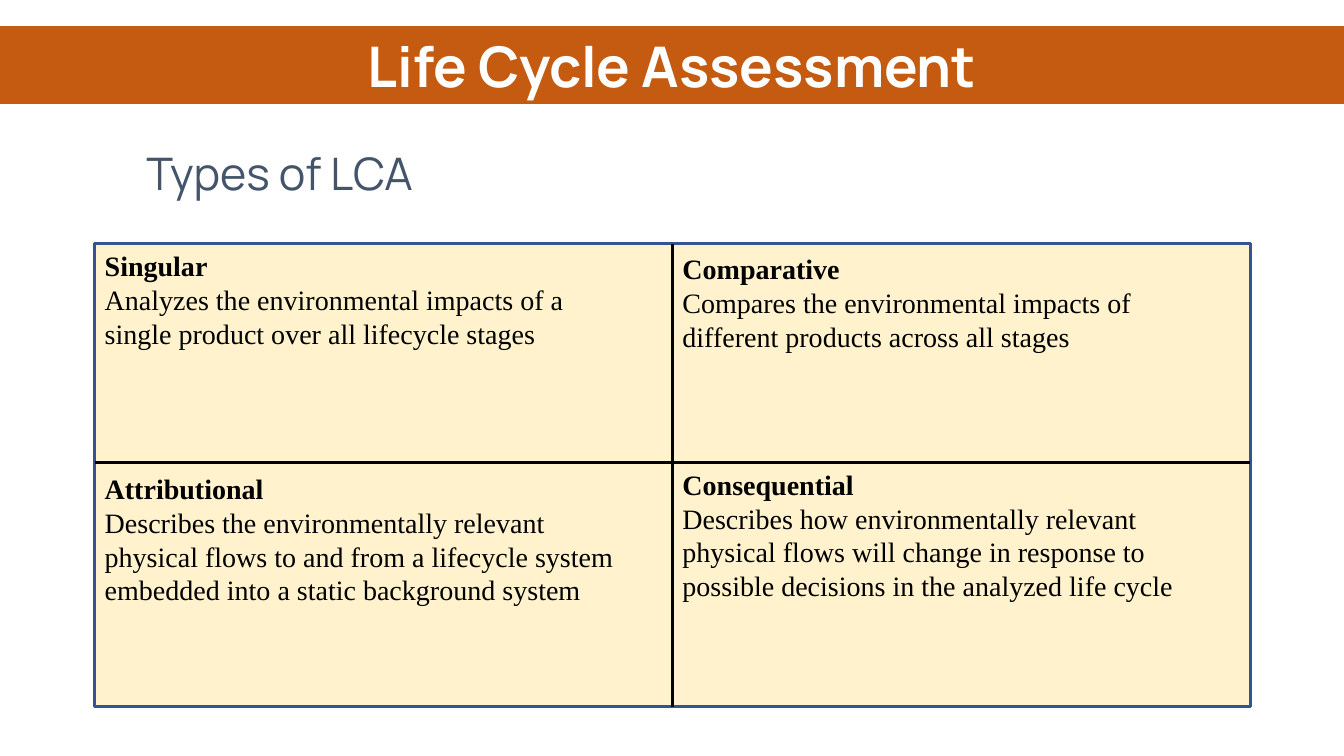
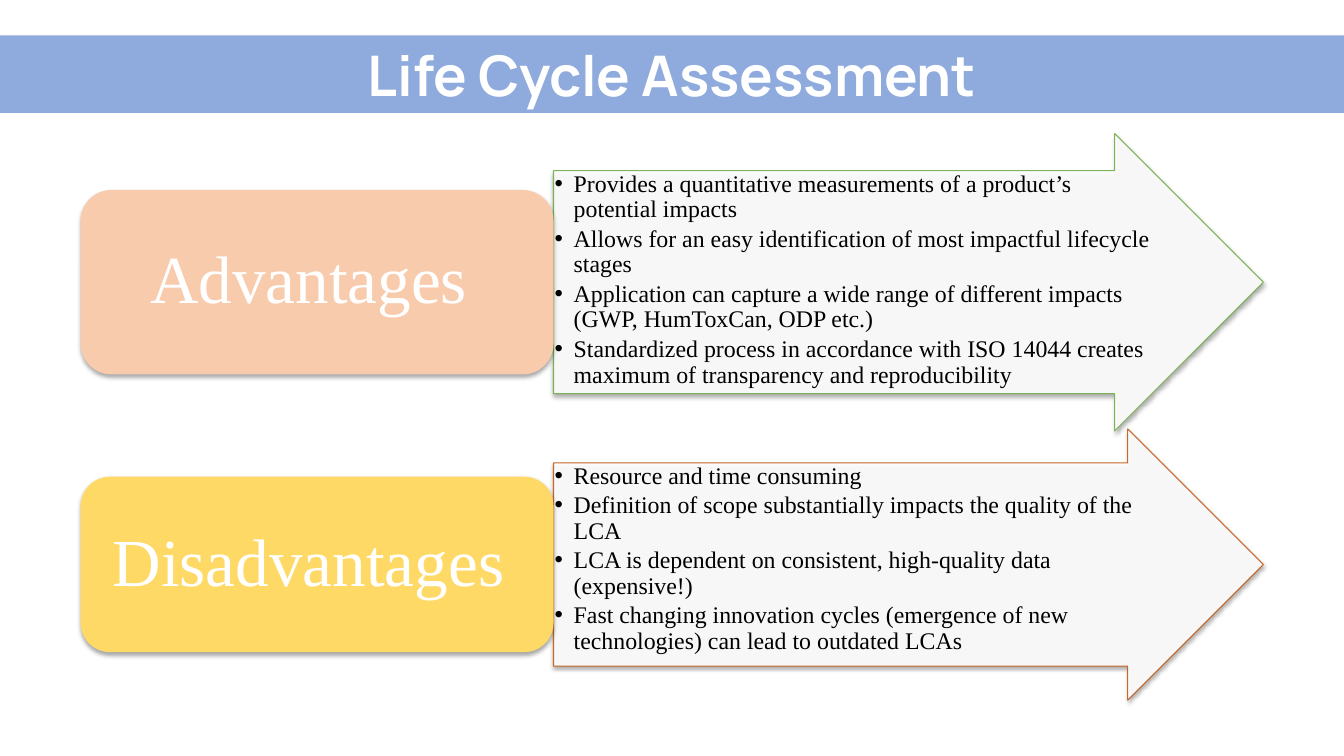
from dataclasses import dataclass
from typing import Any

from lxml import etree
from pptx import Presentation
from pptx.dml.color import RGBColor
from pptx.enum.shapes import MSO_CONNECTOR, MSO_SHAPE
from pptx.enum.text import MSO_ANCHOR, MSO_AUTO_SIZE, PP_ALIGN
from pptx.oxml.ns import qn
from pptx.util import Inches, Pt

WHITE = RGBColor(0xFF, 0xFF, 0xFF)
BLACK = RGBColor(0x00, 0x00, 0x00)
SLATE = RGBColor(0x44, 0x54, 0x6A)
ORANGE = RGBColor(0xC5, 0x5A, 0x11)
BLUE = RGBColor(0x8F, 0xAA, 0xDC)
CREAM = RGBColor(0xFF, 0xF2, 0xCC)
NAVY = RGBColor(0x32, 0x54, 0x91)
PEACH = RGBColor(0xF8, 0xCB, 0xAD)
YELLOW = RGBColor(0xFF, 0xD9, 0x66)
GREEN = RGBColor(0x70, 0xAD, 0x47)

SLIDE_WIDTH, SLIDE_HEIGHT = 13.33, 7.5
BAND_HEIGHT = 0.77
TITLE_ONLY, TWO_CONTENT = 5, 3

HEADING, SERIF = "Manrope", "Times New Roman"
TITLE_FONT = {"name": HEADING, "size": Pt(40), "bold": True}
SUBTITLE_FONT = {"name": HEADING, "size": Pt(32), "bold": False}
CELL_FONT = {"name": SERIF, "size": Pt(20)}
LABEL_FONT = {"name": SERIF, "size": Pt(48)}
LIST_FONT = {"name": SERIF, "size": Pt(17)}

GRID_LEFT, GRID_TOP, CELL_WIDTH = 0.94, 2.42, 5.73
ROW_HEIGHTS = (2.17, 2.42)

LABEL_LEFT, LABEL_WIDTH = 0.8, 4.69
ARROW_LEFT, ARROW_WIDTH = LABEL_LEFT + LABEL_WIDTH, 7.04
SHAFT_RATIO, HEAD_RATIO = 0.75, 0.5


@dataclass(frozen=True)
class LcaType:
    name: str
    description: str
    row: int
    column: int
    text_drop: float


@dataclass(frozen=True)
class Argument:
    label: str
    points: tuple[str, ...]
    center: float
    arrow_height: float
    label_height: float
    label_fill: RGBColor
    arrow_line: RGBColor


LCA_TYPES = (
    LcaType("Singular", "Analyzes the environmental impacts of a single product "
            "over all lifecycle stages", 0, 0, 0),
    LcaType("Comparative", "Compares the environmental impacts of different "
            "products across all stages", 0, 1, 0.03),
    LcaType("Attributional", "Describes the environmentally relevant physical flows "
            "to and from a lifecycle system embedded into a static background system",
            1, 0, 0.04),
    LcaType("Consequential", "Describes how environmentally relevant physical flows "
            "will change in response to possible decisions in the analyzed life cycle",
            1, 1, 0),
)

ARGUMENTS = (
    Argument("Advantages ", (
        "Provides a quantitative measurements of a product’s potential impacts",
        "Allows for an easy identification of most impactful lifecycle stages",
        "Application can capture a wide range of different impacts "
        "(GWP, HumToxCan, ODP etc.)",
        "Standardized process in accordance with ISO 14044 creates maximum of "
        "transparency and reproducibility",
    ), 2.8, 2.95, 1.83, PEACH, GREEN),
    Argument("Disadvantages ", (
        "Resource and time consuming",
        "Definition of scope substantially impacts the quality of the LCA",
        "LCA is dependent on consistent, high-quality data (expensive!)",
        "Fast changing innovation cycles (emergence of new technologies) can lead "
        "to outdated LCAs",
    ), 5.6, 2.69, 1.74, YELLOW, ORANGE),
)


def set_values(target: Any, values: dict[str, Any]) -> None:
    for name, value in values.items():
        setattr(target, name, value)


def set_font(font: Any, values: dict[str, Any], color: RGBColor) -> None:
    set_values(font, values)
    font.color.rgb = color


def place(shape: Any, left: float, top: float, width: float, height: float) -> None:
    set_values(shape, {"left": Inches(left), "top": Inches(top),
                       "width": Inches(width), "height": Inches(height)})


def set_margins(frame: Any, left: float, top: float, right: float, bottom: float) -> None:
    set_values(frame, {"margin_left": Inches(left), "margin_top": Inches(top),
                       "margin_right": Inches(right), "margin_bottom": Inches(bottom),
                       "word_wrap": True})


def add_filled_shape(slide: Any, kind: MSO_SHAPE, left: float, top: float, width: float,
                     height: float, fill: RGBColor, line: RGBColor | None = None,
                     line_width: float = 0) -> Any:
    shape = slide.shapes.add_shape(
        kind, Inches(left), Inches(top), Inches(width), Inches(height))
    shape.shadow.inherit = False
    shape.fill.solid()
    shape.fill.fore_color.rgb = fill
    if line is None:
        shape.line.fill.background()
    else:
        shape.line.color.rgb = line
        shape.line.width = Pt(line_width)
    return shape


def add_soft_shadow(shape: Any) -> None:
    effects = shape.element.spPr.find(qn("a:effectLst"))
    shadow = etree.SubElement(effects, qn("a:outerShdw"), blurRad="40000",
                              dist="23000", dir="5400000", rotWithShape="0")
    color = etree.SubElement(shadow, qn("a:srgbClr"), val=str(BLACK))
    etree.SubElement(color, qn("a:alpha"), val="35000")


def set_opacity(shape: Any, percent: int) -> None:
    """Apply one opacity to both fill and outline."""
    for color in shape.element.spPr.iter(qn("a:srgbClr")):
        etree.SubElement(color, qn("a:alpha"), val=str(percent * 1000))


def add_title_slide(presentation: Any, layout: int, band_top: float,
                    band_color: RGBColor) -> Any:
    """Add a slide whose title placeholder is the full-width colour band."""
    slide = presentation.slides.add_slide(presentation.slide_layouts[layout])
    title = slide.shapes.title
    place(title, 0, band_top, SLIDE_WIDTH, BAND_HEIGHT)
    title.fill.solid()
    title.fill.fore_color.rgb = band_color
    frame = title.text_frame
    frame.text = "Life Cycle Assessment"
    set_values(frame, {"auto_size": MSO_AUTO_SIZE.NONE,
                       "vertical_anchor": MSO_ANCHOR.MIDDLE})
    paragraph = frame.paragraphs[0]
    paragraph.alignment = PP_ALIGN.CENTER
    set_font(paragraph.font, TITLE_FONT, WHITE)
    return slide


def add_subtitle(slide: Any, text: str) -> None:
    box = slide.shapes.add_textbox(Inches(1.26), Inches(1.4), Inches(3.03), Inches(0.64))
    box.text_frame.text = text
    paragraph = box.text_frame.paragraphs[0]
    paragraph.alignment = PP_ALIGN.CENTER
    set_font(paragraph.font, SUBTITLE_FONT, SLATE)


def add_type_cell(slide: Any, lca_type: LcaType) -> None:
    cell = add_filled_shape(
        slide, MSO_SHAPE.RECTANGLE, GRID_LEFT + lca_type.column * CELL_WIDTH,
        GRID_TOP + sum(ROW_HEIGHTS[:lca_type.row]), CELL_WIDTH,
        ROW_HEIGHTS[lca_type.row], CREAM, NAVY, 2)
    frame = cell.text_frame
    frame.vertical_anchor = MSO_ANCHOR.TOP
    set_margins(frame, 0.1, 0.05 + lca_type.text_drop, 0.44, 0.05)
    frame.text = f"{lca_type.name}\n{lca_type.description}"
    for paragraph, bold in zip(frame.paragraphs, (True, False)):
        paragraph.alignment = PP_ALIGN.LEFT
        set_font(paragraph.font, CELL_FONT | {"bold": bold}, BLACK)


def add_divider(slide: Any, x1: float, y1: float, x2: float, y2: float) -> None:
    line = slide.shapes.add_connector(
        MSO_CONNECTOR.STRAIGHT, Inches(x1), Inches(y1), Inches(x2), Inches(y2))
    line.line.color.rgb = BLACK
    line.line.width = Pt(2.25)
    etree.SubElement(line.element.spPr, qn("a:effectLst"))


def fill_list(placeholder: Any, points: tuple[str, ...]) -> None:
    frame = placeholder.text_frame
    frame.text = "\n".join(points)
    set_margins(frame, 0.01, 0.01, 0.01, 0.01)
    set_values(frame, {"auto_size": MSO_AUTO_SIZE.NONE,
                       "vertical_anchor": MSO_ANCHOR.TOP})
    for paragraph in frame.paragraphs:
        paragraph.level = 1
        properties = paragraph._p.get_or_add_pPr()
        properties.set("marL", str(Inches(0.19)))
        properties.set("indent", str(-Inches(0.19)))
        bullet_color = etree.SubElement(properties, qn("a:buClr"))
        etree.SubElement(bullet_color, qn("a:srgbClr"), val=str(BLACK))
        etree.SubElement(properties, qn("a:buChar"), char="•")
        set_values(paragraph, {"alignment": PP_ALIGN.LEFT, "line_spacing": 0.9,
                               "space_before": Pt(0), "space_after": Pt(2.55)})
        set_font(paragraph.font, LIST_FONT, BLACK)


def add_argument(slide: Any, argument: Argument, placeholder: Any) -> None:
    """Draw a label and the arrow that carries its list."""
    height = argument.arrow_height
    arrow = add_filled_shape(
        slide, MSO_SHAPE.RIGHT_ARROW, ARROW_LEFT, argument.center - height / 2,
        ARROW_WIDTH, height, WHITE, argument.arrow_line, 0.75)
    arrow.adjustments[0], arrow.adjustments[1] = SHAFT_RATIO, HEAD_RATIO
    set_opacity(arrow, 90)
    add_soft_shadow(arrow)
    placeholder.element.addprevious(arrow.element)

    shaft_height = height * SHAFT_RATIO
    list_width = ARROW_WIDTH - height * HEAD_RATIO * SHAFT_RATIO
    place(placeholder, ARROW_LEFT, argument.center - shaft_height / 2,
          list_width, shaft_height)
    fill_list(placeholder, argument.points)

    label = add_filled_shape(
        slide, MSO_SHAPE.ROUNDED_RECTANGLE, LABEL_LEFT,
        argument.center - argument.label_height / 2, LABEL_WIDTH,
        argument.label_height, argument.label_fill)
    add_soft_shadow(label)
    frame = label.text_frame
    frame.text = argument.label
    set_margins(frame, 0.2, 0.1, 0.2, 0.1)
    frame.vertical_anchor = MSO_ANCHOR.MIDDLE
    paragraph = frame.paragraphs[0]
    set_values(paragraph, {"alignment": PP_ALIGN.CENTER, "line_spacing": 0.9})
    set_font(paragraph.font, LABEL_FONT, WHITE)


def build_types_slide(presentation: Any) -> None:
    slide = add_title_slide(presentation, TITLE_ONLY, 0.26, ORANGE)
    add_subtitle(slide, "Types of LCA")
    for lca_type in LCA_TYPES:
        add_type_cell(slide, lca_type)
    middle_x, middle_y = GRID_LEFT + CELL_WIDTH, GRID_TOP + ROW_HEIGHTS[0]
    add_divider(slide, middle_x, GRID_TOP, middle_x, GRID_TOP + sum(ROW_HEIGHTS))
    add_divider(slide, GRID_LEFT, middle_y, GRID_LEFT + 2 * CELL_WIDTH, middle_y)


def build_arguments_slide(presentation: Any) -> None:
    slide = add_title_slide(presentation, TWO_CONTENT, 0.35, BLUE)
    for index, argument in enumerate(ARGUMENTS, start=1):
        add_argument(slide, argument, slide.placeholders[index])


def main() -> None:
    presentation = Presentation()
    presentation.slide_width = Inches(SLIDE_WIDTH)
    presentation.slide_height = Inches(SLIDE_HEIGHT)
    build_types_slide(presentation)
    build_arguments_slide(presentation)
    presentation.save("out.pptx")


if __name__ == "__main__":
    main()
